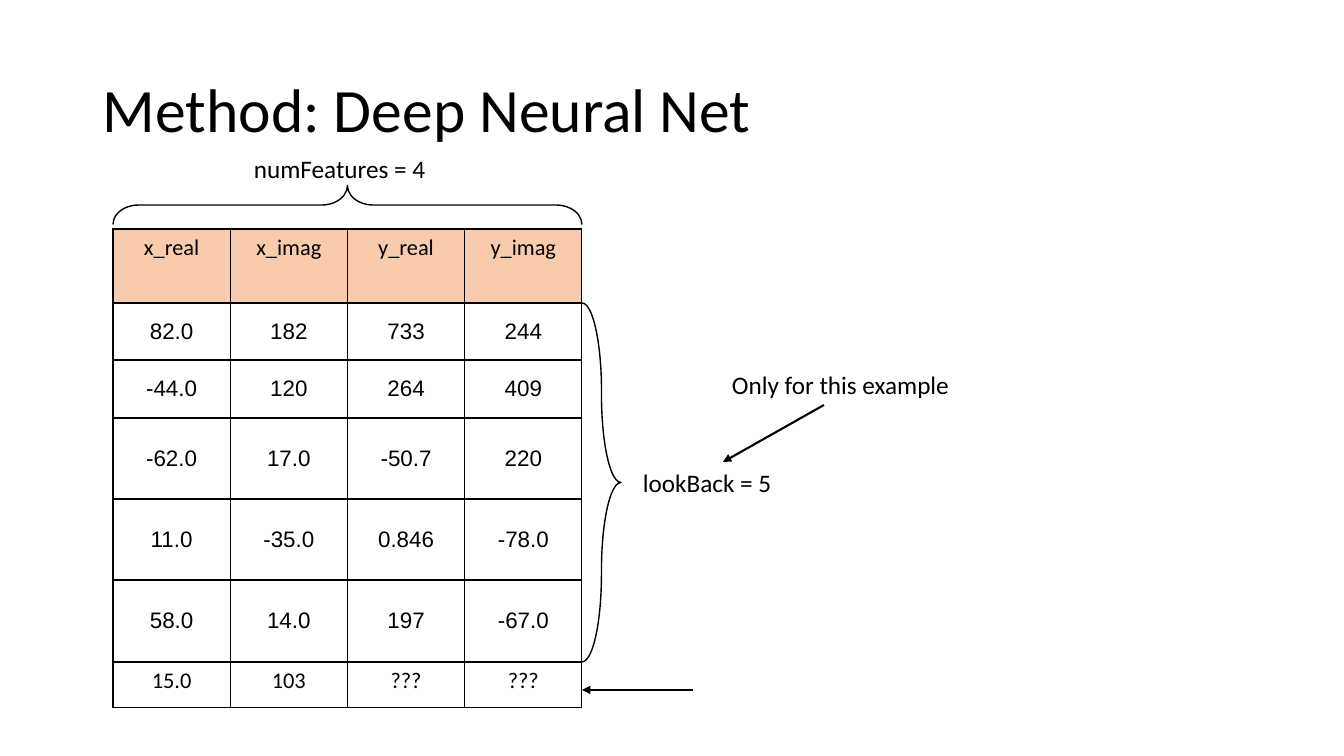
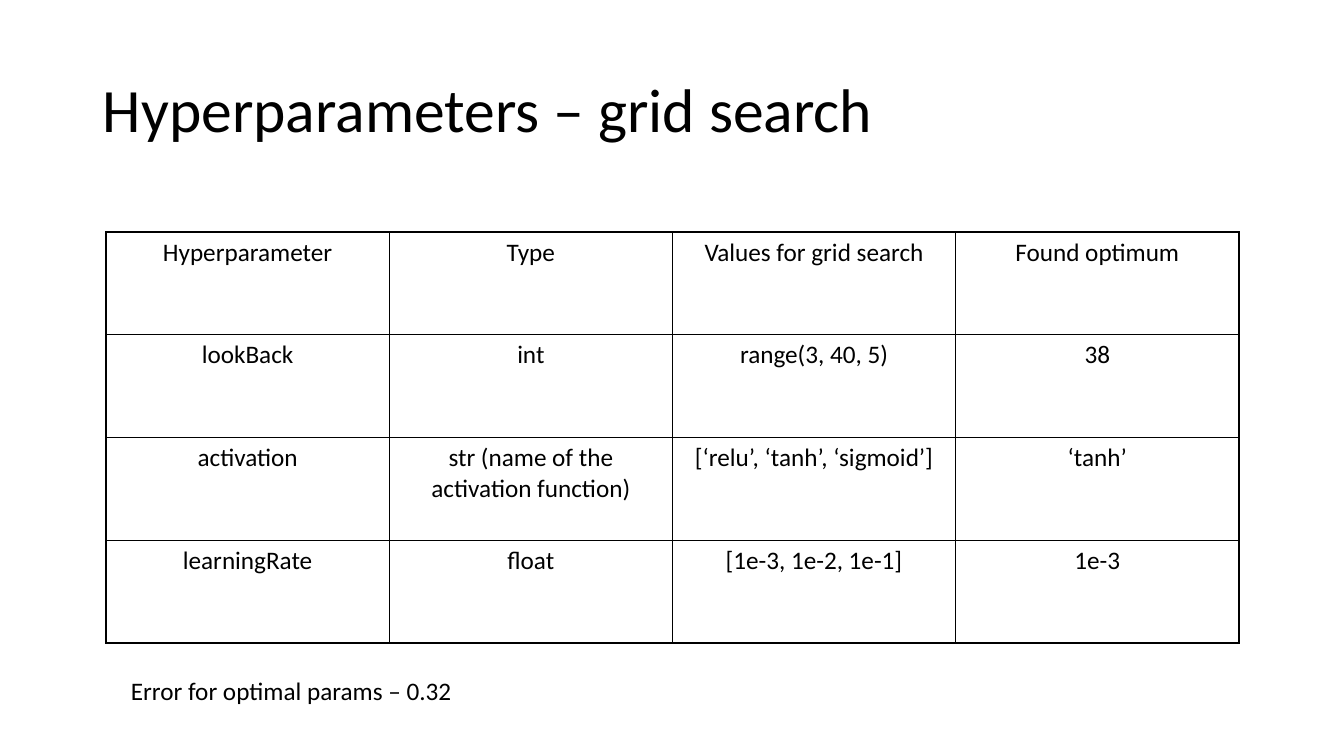
from lxml import etree
from pptx import Presentation
from pptx.dml.color import RGBColor
from pptx.enum.shapes import MSO_CONNECTOR, MSO_SHAPE
from pptx.enum.text import MSO_ANCHOR, MSO_AUTO_SIZE, PP_ALIGN
from pptx.oxml.ns import qn
from pptx.util import Emu, Pt

# Shared settings
EMU_PER_PIXEL = 914400 / 100.8
SLIDE_WIDTH, SLIDE_HEIGHT = 1344, 756
BLANK_LAYOUT = 6
BLACK, PEACH = "000000", "F8CBAD"
BODY_FONT, NUMBER_FONT = "Calibri", "Arial"
TITLE_SIZE, BODY_SIZE, FEATURE_SIZE = 44, 18, 16
TITLE_BOX = (93, 40, 1159, 146)
LABEL_HEIGHT = 40
TOP, MIDDLE = MSO_ANCHOR.TOP, MSO_ANCHOR.MIDDLE
CENTER = PP_ALIGN.CENTER
RIGHT_BRACE = MSO_SHAPE.RIGHT_BRACE
STRAIGHT = MSO_CONNECTOR.STRAIGHT
FIT_TEXT = MSO_AUTO_SIZE.SHAPE_TO_FIT_TEXT

# Slide content
FEATURE_ROWS = [
    ["x_real", "x_imag", "y_real", "y_imag"],
    ["82.0", "182", "733", "244"],
    ["-44.0", "120", "264", "409"],
    ["-62.0", "17.0", "-50.7", "220"],
    ["11.0", "-35.0", "0.846", "-78.0"],
    ["58.0", "14.0", "197", "-67.0"],
    ["15.0", "103", "???", "???"],
]
FEATURE_HEIGHTS = [74, 57, 58, 81, 81, 82, 46]
PARAMETER_ROWS = [
    ["Hyperparameter", "Type", "Values for grid search", "Found optimum"],
    ["lookBack", "int", "range(3, 40, 5)", "38"],
    ["activation", "str (name of the activation function)",
     "[‘relu’, ‘tanh’, ‘sigmoid’]", "‘tanh’"],
    ["learningRate", "float", "[1e-3, 1e-2, 1e-1]", "1e-3"],
]


def px(pixels):
    return Emu(round(pixels * EMU_PER_PIXEL))


def color(hex_string):
    return RGBColor.from_string(hex_string)


def style_paragraph(paragraph, size, font_name=BODY_FONT):
    paragraph.font.size = Pt(size)
    paragraph.font.name = font_name
    paragraph.font.color.rgb = color(BLACK)


def style_line(line, width):
    line.color.rgb = color(BLACK)
    line.width = Pt(width)


def add_text(slide, text, left, top, width, height, size=BODY_SIZE):
    frame = slide.shapes.add_textbox(px(left), px(top), px(width), px(height)).text_frame
    frame.word_wrap = True
    frame.text = text
    style_paragraph(frame.paragraphs[0], size)
    return frame


def add_label(slide, text, left, top, width):
    add_text(slide, text, left, top, width, LABEL_HEIGHT).auto_size = FIT_TEXT


def add_titled_slide(presentation, title):
    slide = presentation.slides.add_slide(presentation.slide_layouts[BLANK_LAYOUT])
    frame = add_text(slide, title, *TITLE_BOX, size=TITLE_SIZE)
    frame.vertical_anchor = MIDDLE
    frame.paragraphs[0].line_spacing = 0.9
    return slide


def add_cell_borders(cell):
    properties = cell._tc.get_or_add_tcPr()
    for side in ("lnL", "lnR", "lnT", "lnB"):
        border = etree.SubElement(properties, qn(f"a:{side}"), w=str(Pt(1)))
        fill = etree.SubElement(border, qn("a:solidFill"))
        etree.SubElement(fill, qn("a:srgbClr"), val=BLACK)


def fill_cell(cell, text, size, font_name, anchor, fill_color):
    add_cell_borders(cell)
    if fill_color:
        cell.fill.solid()
        cell.fill.fore_color.rgb = color(fill_color)
    else:
        cell.fill.background()
    cell.vertical_anchor = anchor
    cell.text = text
    paragraph = cell.text_frame.paragraphs[0]
    paragraph.alignment = CENTER
    style_paragraph(paragraph, size, font_name)


def add_grid(slide, rows, left, top, width, heights, size, header_fill=None, number_rows=()):
    """Number rows use the number font and are centred vertically."""
    column_count = len(rows[0])
    table = slide.shapes.add_table(len(rows), column_count, px(left), px(top),
                                   px(width), px(sum(heights))).table
    table.first_row = table.horz_banding = False
    for column in table.columns:
        column.width = px(width / column_count)
    for row_index, (values, height) in enumerate(zip(rows, heights)):
        table.rows[row_index].height = px(height)
        is_number = row_index in number_rows
        font_name, anchor = (NUMBER_FONT, MIDDLE) if is_number else (BODY_FONT, TOP)
        fill_color = header_fill if row_index == 0 else None
        for column_index, text in enumerate(values):
            fill_cell(table.cell(row_index, column_index), text, size,
                      font_name, anchor, fill_color)


def add_brace(slide, left, top, width, height, curve, rotation=0):
    brace = slide.shapes.add_shape(RIGHT_BRACE, px(left), px(top), px(width), px(height))
    brace.adjustments[0] = curve
    brace.rotation = rotation
    brace.shadow.inherit = False
    brace.fill.background()
    style_line(brace.line, 1)


def add_arrow(slide, start, end):
    arrow = slide.shapes.add_connector(STRAIGHT, *map(px, start + end))
    style_line(arrow.line, 1.5)
    etree.SubElement(arrow.line._get_or_add_ln(), qn("a:tailEnd"), type="triangle")
    etree.SubElement(arrow._element.spPr, qn("a:effectLst"))


def build_network_slide(presentation):
    slide = add_titled_slide(presentation, "Method: Deep Neural Net")

    # Feature table
    left, top, width = 113, 229, 469
    right = left + width
    add_grid(slide, FEATURE_ROWS, left, top, width, FEATURE_HEIGHTS, FEATURE_SIZE,
             header_fill=PEACH, number_rows=range(1, 6))

    # Braces along the number rows and over the columns
    depth = 39
    add_brace(slide, right, top + FEATURE_HEIGHTS[0], depth,
              sum(FEATURE_HEIGHTS[1:6]), 2.25)
    middle_x, middle_y = left + width / 2, 205
    add_brace(slide, middle_x - depth / 2, middle_y - width / 2, depth, width, 0.66, 270)

    # Labels and arrows
    add_label(slide, "lookBack = 5", 633, 462, 178)
    add_label(slide, "numFeatures = 4", 244, 148, 206)
    add_label(slide, "Only for this example", 722, 364, 263)
    add_arrow(slide, (693, 690), (right, 690))
    add_arrow(slide, (824, 405), (723, 462))


def build_search_slide(presentation):
    slide = add_titled_slide(presentation, "Hyperparameters – grid search")
    row_heights = [102.75] * len(PARAMETER_ROWS)
    add_grid(slide, PARAMETER_ROWS, 106, 232, 1133, row_heights, BODY_SIZE)
    add_label(slide, "Error for optimal params – 0.32", 121, 670, 937)


def main():
    presentation = Presentation()
    presentation.slide_width = px(SLIDE_WIDTH)
    presentation.slide_height = px(SLIDE_HEIGHT)
    build_network_slide(presentation)
    build_search_slide(presentation)
    presentation.save("out.pptx")


main()
